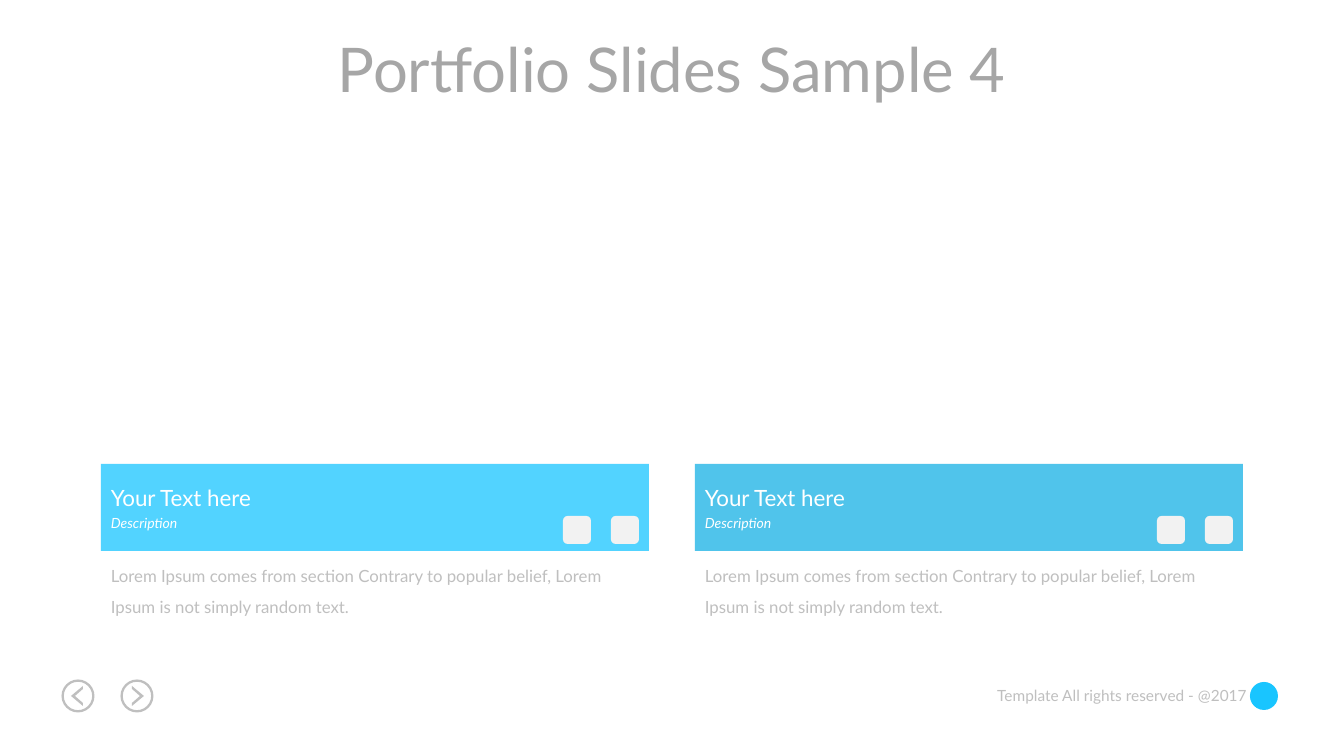
from lxml.etree import SubElement
from pptx import Presentation
from pptx.dml.color import RGBColor
from pptx.enum.shapes import MSO_SHAPE
from pptx.enum.text import MSO_ANCHOR, MSO_AUTO_SIZE, PP_ALIGN
from pptx.oxml.ns import qn
from pptx.util import Pt

EMU_PER_PX = 914400 / 100.8
COLORS = {
    "title": "A6A6A6",
    "muted": "BFBFBF",
    "white": "FFFFFF",
    "icon": "F2F2F2",
    "accent": "19C5FF",
    "accent_dark": "16B1E5",
}
FONT = "Lato"
CARD_WIDTH = 548
CARDS = [(101, "accent"), (695, "accent_dark")]
BLURB = ("Lorem Ipsum comes from section Contrary to popular belief, "
         "Lorem Ipsum is not simply random text.")


def px(length):
    return round(length * EMU_PER_PX)


def paint(shape, color, opacity=100):
    shape.shadow.inherit = False
    shape.line.fill.background()
    shape.fill.solid()
    shape.fill.fore_color.rgb = RGBColor.from_string(COLORS[color])
    if opacity < 100:
        rgb = shape.fill._xPr.find(qn("a:solidFill"))[0]
        SubElement(rgb, qn("a:alpha")).set("val", str(opacity * 1000))


def add_block(slide, preset, box, color, opacity=100):
    block = slide.shapes.add_shape(preset, *map(px, box))
    paint(block, color, opacity)
    return block


def write(frame, text, size, color, align=PP_ALIGN.LEFT, wrap=False,
          spacing=None, italic=False):
    frame.text = text
    frame.word_wrap = wrap
    frame.auto_size = MSO_AUTO_SIZE.NONE
    frame.vertical_anchor = MSO_ANCHOR.TOP
    paragraph = frame.paragraphs[0]
    paragraph.alignment = align
    paragraph.line_spacing = spacing
    font = paragraph.font
    font.name = FONT
    font.size = Pt(size)
    font.italic = italic
    font.color.rgb = RGBColor.from_string(COLORS[color])


def add_text(slide, box, text, size, color, **style):
    label = slide.shapes.add_textbox(*map(px, box))
    write(label.text_frame, text, size, color, **style)


def add_title(slide, text):
    title = slide.shapes.title
    title.left, title.top, title.width, title.height = map(px, (302, 26, 740, 85))
    write(title.text_frame, text, 44, "title", align=PP_ALIGN.CENTER)


def add_arrow_button(slide, center_x, direction):
    """Ringed chevron; direction is -1 for back and 1 for forward."""
    center_y, radius = 696, 16.5
    ring = add_block(slide, MSO_SHAPE.DONUT,
                     (center_x - radius, center_y - radius, 2 * radius, 2 * radius),
                     "muted")
    ring.adjustments[0] = 0.07
    outline = [(center_x + direction * dx, center_y + dy) for dx, dy in
               [(-5, -7), (3, 0), (-5, 7), (-5, 10), (7, 0), (-5, -10)]]
    builder = slide.shapes.build_freeform(*outline[0], scale=EMU_PER_PX)
    builder.add_line_segments(outline[1:], close=True)
    paint(builder.convert_to_shape(), "muted")


def add_card(slide, left, color):
    add_block(slide, MSO_SHAPE.RECTANGLE, (left, 464, CARD_WIDTH, 87), color, opacity=75)
    add_text(slide, (left, 479, 169, 37), "Your Text here", 16, "white")
    add_text(slide, (left, 510, 88, 27), "Description", 10, "white", italic=True)
    add_text(slide, (left, 551, CARD_WIDTH, 72), BLURB, 12, "muted",
             wrap=True, spacing=1.5)
    for offset in (462, 510):
        add_block(slide, MSO_SHAPE.ROUNDED_RECTANGLE,
                  (left + offset, 516, 28, 28), "icon")


def add_footer(slide):
    add_text(slide, (982, 681, 275, 29), "Template All rights reserved - @2017",
             11, "muted", align=PP_ALIGN.RIGHT)
    add_arrow_button(slide, 78, -1)
    add_arrow_button(slide, 137, 1)
    add_block(slide, MSO_SHAPE.OVAL, (1250, 682, 28, 28), "accent")


def main():
    presentation = Presentation()
    presentation.slide_width = px(1344)
    presentation.slide_height = px(756)
    slide = presentation.slides.add_slide(presentation.slide_layouts[5])
    add_footer(slide)
    add_title(slide, "Portfolio Slides Sample 4")
    for left, color in CARDS:
        add_card(slide, left, color)
    presentation.save("out.pptx")


if __name__ == "__main__":
    main()
